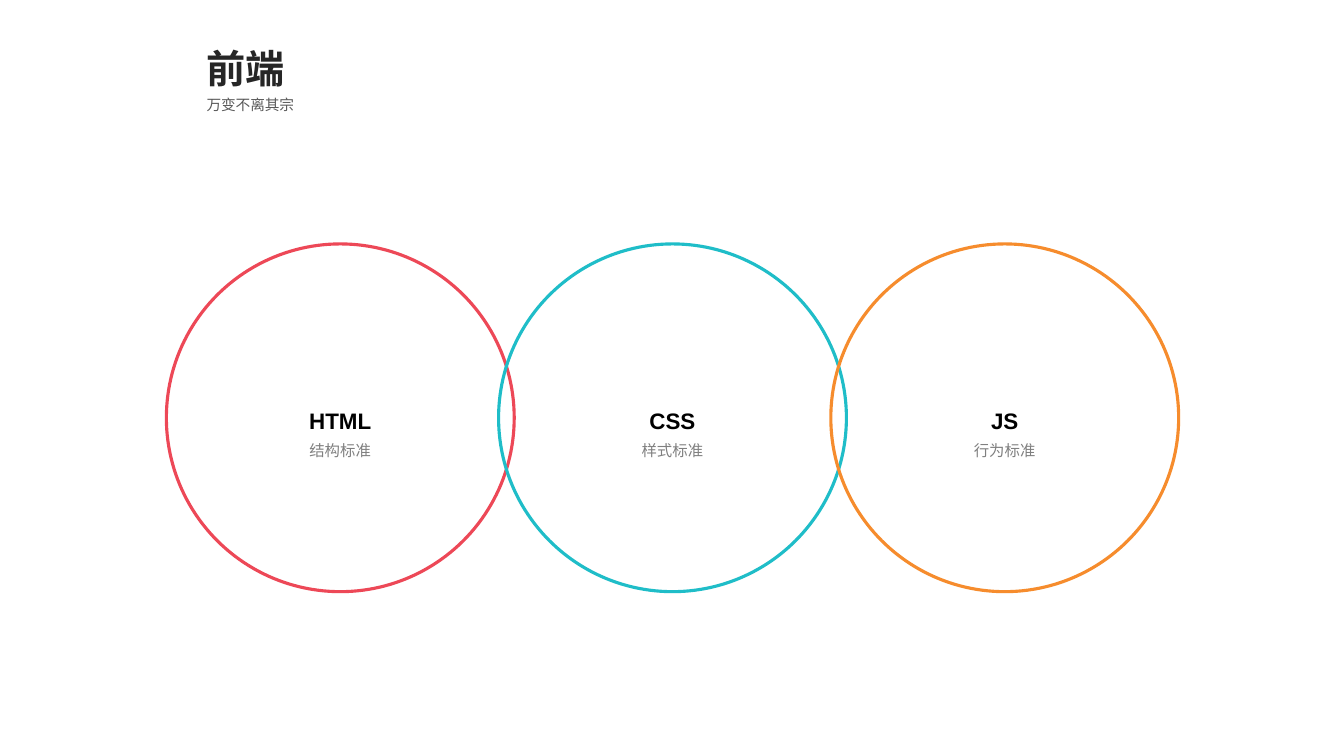
import pptx
import pptx.util
import pptx.dml.color
import pptx.enum.shapes
import pptx.enum.text
from dataclasses import dataclass

Inches = pptx.util.Inches
Pt = pptx.util.Pt
Rgb = pptx.dml.color.RGBColor.from_string
Align = pptx.enum.text.PP_ALIGN


@dataclass(frozen=True)
class Theme:
    sans: str = "Arial"
    round: str = "Quicksand"
    title: str = "262626"
    sub: str = "595959"
    head: str = "000000"
    note: str = "808080"
    title_size: float = 28
    sub_size: float = 10.5
    head_size: float = 16
    note_size: float = 11
    ring: float = 2.25


THEME = Theme()
WIDE, HIGH = 13.33, 7.5
RINGS = [
    ("HTML", "结构标准", "ED4857"),
    ("CSS", "样式标准", "1FBDC8"),
    ("JS", "行为标准", "F68C2D"),
]


def write(slide, box, text, size, color, face=THEME.sans, bold=False,
          align=Align.LEFT, space=1.0, wrap=True):
    frame = slide.shapes.add_textbox(*map(Inches, box)).text_frame
    frame.word_wrap = wrap
    frame.auto_size = pptx.enum.text.MSO_AUTO_SIZE.SHAPE_TO_FIT_TEXT
    frame.text = text
    para = frame.paragraphs[0]
    para.alignment = align
    para.line_spacing = space
    font = para.runs[0].font
    font.name, font.size, font.bold = face, Pt(size), bold
    font.color.rgb = Rgb(color)


def header(slide, box, title, sub):
    left, top, width, height = box
    write(slide, (left, top + 0.65 * height, width, 0.35 * height), sub,
          THEME.sub_size, THEME.sub, THEME.round)
    write(slide, (left, top, 0.24 * width, 0.72 * height), title,
          THEME.title_size, THEME.title, bold=True, wrap=False)


def ring(slide, box, head, note, color):
    left, top, size, _ = box
    inner = left + 0.15 * size, 0.7 * size
    for text, drop, tall, points, ink, bold in (
        (note, 0.542, 0.32, THEME.note_size, THEME.note, False),
        (head, 0.44, 0.42, THEME.head_size, THEME.head, True),
    ):
        write(slide, (inner[0], top + drop * size, inner[1], tall), text,
              points, ink, bold=bold, align=Align.CENTER, space=1.2)
    oval = slide.shapes.add_shape(
        pptx.enum.shapes.MSO_SHAPE.OVAL, *map(Inches, box))
    oval.shadow.inherit = False
    oval.fill.background()
    oval.line.color.rgb = Rgb(color)
    oval.line.width = Pt(THEME.ring)


def chain(slide, box, rings):
    """Place equal rings so that the row fills the box and neighbours overlap."""
    left, top, width, size = box
    step = (width - size) / (len(rings) - 1)
    for col, item in enumerate(rings):
        ring(slide, (left + col * step, top, size, size), *item)


def main():
    deck = pptx.Presentation()
    deck.slide_width, deck.slide_height = Inches(WIDE), Inches(HIGH)
    slide = deck.slides.add_slide(deck.slide_layouts[6])
    header(slide, (1.95, 0.39, 4.12, 0.79), "前端", "万变不离其宗")
    chain(slide, (1.65, 2.42, 10.04, 3.45), RINGS)
    deck.save("out.pptx")


if __name__ == "__main__":
    main()
